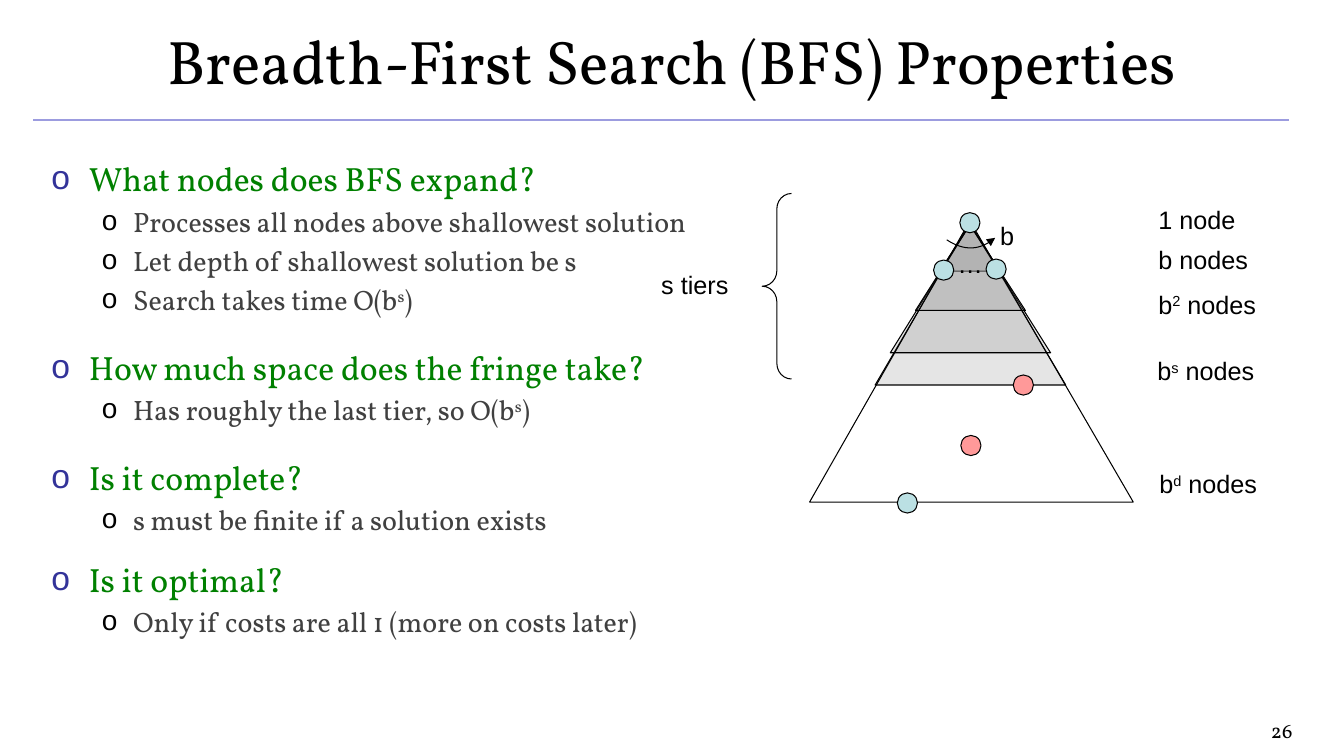
from lxml import etree
from pptx import Presentation
from pptx import util as u
from pptx.dml.color import RGBColor
from pptx.enum import shapes, text
from pptx.oxml import ns

CELL = u.Inches(0.1)  # the slide is a grid of 133.3 columns by 75 rows
COLUMNS, ROWS = 133.3, 75
APEX_COLUMN = 96.2
BLACK, BLUE_NODE, RED_NODE = "000000", "BBE0E3", "FF9999"
SERIF, SANS = "Vollkorn", "Arial"

# Per level: size, text colour, bullet colour, left margin, indent, space before
LEVELS = [(24, "008000", "333399", 3.7, -3.7, 4.8),
          (20, "404040", BLACK, 8.1, -3.1, 4)]

# Per topic: gap above in points, heading, answers (every second part is raised)
TOPICS = [
    (0, "What nodes does BFS expand?",
     [["Processes all nodes above shallowest solution"],
      ["Let depth of shallowest solution be s"],
      ["Search takes time O(b", "s", ")"]]),
    (16.9, "How much space does the fringe take?",
     [["Has roughly the last tier, so O(b", "s", ")"]]),
    (16.9, "Is it complete?", [["s must be finite if a solution exists"]]),
    (11.3, "Is it optimal?", [["Only if costs are all 1 (more on costs later)"]]),
]

# Apex row, base row, left and right column of each shaded tier
TIERS = [(22.3, 26.9, 93.2, 99.2), (22.1, 38.2, 86.8, 105.7),
         (22.3, 35, 88.3, 104.2), (22.3, 30.8, 90.8, 101.7)]

TOP_NODES = [(96.2, 22.1), (93.6, 26.8), (98.8, 26.7)]
LOWER_NODES = [(90, 49.9, BLUE_NODE), (101.5, 38.2, RED_NODE), (96.3, 44.2, RED_NODE)]

TREE_LABELS = [(94, 24.1, 3, ["…"]), (98.2, 21.4, 3.3, ["b"]),
               (64.6, 26.2, 13.8, ["s tiers"])]
COUNT_LABELS = [(113.9, 19.8, ["1 node"]), (113.9, 23.7, ["b nodes"]),
                (113.9, 28.2, ["b", "2", " nodes"]),
                (113.8, 34.8, ["b", "s", " nodes"]),
                (114, 46, ["b", "d", " nodes"])]


def grid(*cells):
    """Turn grid columns or rows into lengths."""
    return [u.Emu(round(cell * CELL)) for cell in cells]


def rgb(code):
    return RGBColor.from_string(code)


def add_xml(parent, tag, **attributes):
    return etree.SubElement(parent, ns.qn(tag), attributes)


def add_spans(para, parts, size, font, color):
    """Add one run per part, raising every second one."""
    for index, part in enumerate(parts):
        span = para.add_run()
        span.text = part
        span.font.size, span.font.name = u.Pt(size), font
        span.font.color.rgb = rgb(color)
        if index % 2:
            span._r.get_or_add_rPr().set("baseline", "30000")


def set_frame(frame, side, top):
    frame.word_wrap = True
    frame.auto_size = text.MSO_AUTO_SIZE.NONE
    frame.margin_left = frame.margin_right = u.Inches(side)
    frame.margin_top = frame.margin_bottom = u.Inches(top)


def add_text_box(page, place, side=0.1, top=0.05):
    frame = page.shapes.add_textbox(*grid(*place)).text_frame
    set_frame(frame, side, top)
    return frame


def add_label(page, left, top, width, parts):
    frame = add_text_box(page, (left, top, width, 4))
    add_spans(frame.paragraphs[0], parts, 18, SANS, BLACK)


def style(shape, fill=None):
    shape.shadow.inherit = False
    shape.line.color.rgb = rgb(BLACK)
    shape.line.width = u.Pt(0.75)
    if fill:
        shape.fill.solid()
        shape.fill.fore_color.rgb = rgb(fill)
    else:
        shape.fill.background()


def add_outline(page, points, closed=True, fill=None):
    start, *others = [grid(*point) for point in points]
    builder = page.shapes.build_freeform(*start)
    builder.add_line_segments(others, close=closed)
    outline = builder.convert_to_shape()
    style(outline, fill)
    return outline


def add_triangle(page, apex, base, left, right, fill=None):
    corners = [(APEX_COLUMN, apex), (left, base), (right, base)]
    return add_outline(page, corners, fill=fill)


def add_tier(page, *extent):
    tier = add_triangle(page, *extent, fill="808080")
    color = tier._element.spPr.find(ns.qn("a:solidFill"))[0]
    add_xml(color, "a:alpha", val="20000")


def add_node(page, column, row, fill=BLUE_NODE):
    node = page.shapes.add_shape(shapes.MSO_SHAPE.OVAL, *grid(column - 1, row - 1, 2, 2))
    style(node, fill)


def add_branching_arrow(page, start, bend, end, steps=16):
    """Draw a curved arrow as a quadratic curve pulled towards bend."""
    points = []
    for step in range(steps + 1):
        t = step / steps
        points.append([(1 - t) ** 2 * a + 2 * t * (1 - t) * b + t ** 2 * c
                       for a, b, c in zip(start, bend, end)])
    arrow = add_outline(page, points, closed=False)
    add_xml(arrow.line._get_or_add_ln(), "a:tailEnd", type="triangle")


def add_title(page, wording):
    title = page.shapes.title
    title.left, title.top, title.width, title.height = grid(0, -0.3, COLUMNS, 12.5)
    set_frame(title.text_frame, 0.07, 0.04)
    title.text_frame.vertical_anchor = text.MSO_ANCHOR.MIDDLE
    para = title.text_frame.paragraphs[0]
    para.alignment = text.PP_ALIGN.CENTER
    add_spans(para, [wording], 44, SERIF, BLACK)


def add_rule(page):
    rule = page.shapes.add_connector(
        shapes.MSO_CONNECTOR.STRAIGHT, *grid(3.3, 11.9, 127.8, 11.9))
    rule.line.color.rgb = rgb("9C9CDF")
    rule.line.width = u.Pt(1)
    add_xml(rule._element.spPr, "a:effectLst")


def add_bullet(para, level, parts, gap=0):
    size, color, bullet_color, margin, indent, before = LEVELS[level]
    para.level = level
    props = para._p.get_or_add_pPr()
    for name, length in zip(("marL", "indent"), grid(margin, indent)):
        props.set(name, str(length))
    add_xml(add_xml(props, "a:buClr"), "a:srgbClr", val=bullet_color)
    add_xml(props, "a:buFont", typeface=SANS)
    add_xml(props, "a:buChar", char="o")
    para.space_before = u.Pt(before + gap)
    add_spans(para, parts, size, SERIF, color)


def add_topics(page):
    frame = add_text_box(page, (4.4, 15.3, 67.8, 51.7), 0.07, 0.04)
    for index, (gap, heading, answers) in enumerate(TOPICS):
        para = frame.add_paragraph() if index else frame.paragraphs[0]
        add_bullet(para, 0, [heading], gap)
        for answer in answers:
            add_bullet(frame.add_paragraph(), 1, answer)
    frame.paragraphs[0].space_before = u.Pt(0)


def add_search_tree(page):
    add_triangle(page, 21.9, 49.8, 80.3, 112.4)
    for column, row in TOP_NODES:
        add_node(page, column, row)
    add_branching_arrow(page, (93.9, 23.8), (96.5, 25.5), (98.7, 23.6))
    for node in LOWER_NODES:
        add_node(page, *node)
    brace = page.shapes.add_shape(
        shapes.MSO_SHAPE.LEFT_BRACE, *grid(75.6, 19.2, 2.9, 18.4))
    brace.adjustments[0] = 0.53
    style(brace)
    for label in TREE_LABELS:
        add_label(page, *label)
    for left, top, parts in COUNT_LABELS:
        add_label(page, left, top, 16, parts)


def add_page_number(page, number):
    para = add_text_box(page, (105.6, ROWS - 4.2, 23.3, 3.2), 0.07, 0.04).paragraphs[0]
    para.alignment = text.PP_ALIGN.RIGHT
    add_spans(para, [number], 14.7, SERIF, BLACK)


def main():
    deck = Presentation()
    deck.slide_width, deck.slide_height = grid(COLUMNS, ROWS)
    page = deck.slides.add_slide(deck.slide_layouts[5])
    add_rule(page)
    for tier in TIERS:
        add_tier(page, *tier)
    add_title(page, "Breadth-First Search (BFS) Properties")
    add_topics(page)
    add_search_tree(page)
    add_page_number(page, "26")
    deck.save("out.pptx")


if __name__ == "__main__":
    main()
